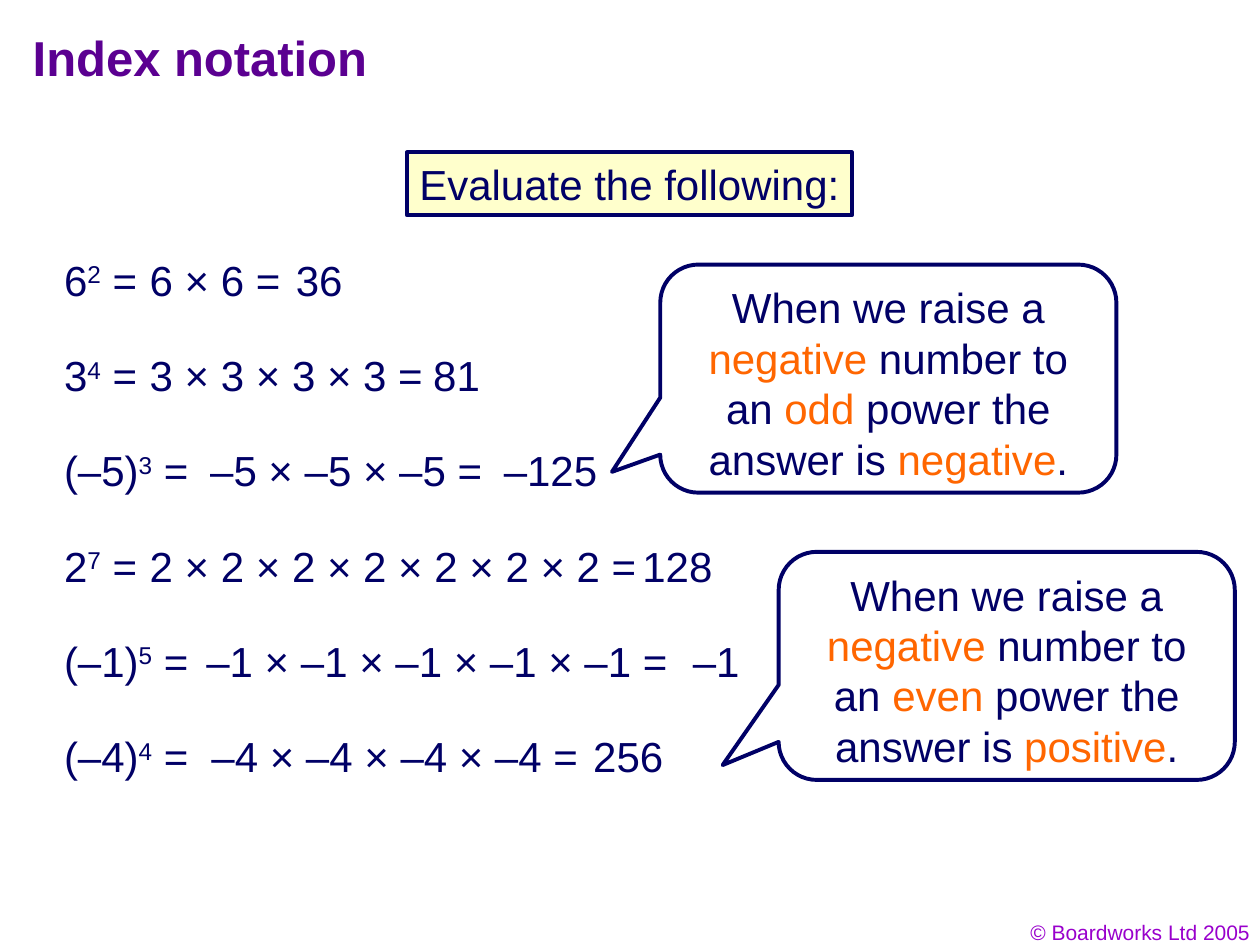
from pptx import Presentation
from pptx.dml.color import RGBColor
from pptx.enum.shapes import MSO_SHAPE
from pptx.enum.text import MSO_ANCHOR, MSO_AUTO_SIZE, PP_ALIGN
from pptx.util import Inches, Pt

RECTANGLE = MSO_SHAPE.RECTANGLE
CALLOUT = MSO_SHAPE.ROUNDED_RECTANGULAR_CALLOUT
TOP, MIDDLE = MSO_ANCHOR.TOP, MSO_ANCHOR.MIDDLE
LEFT, CENTER, RIGHT = PP_ALIGN.LEFT, PP_ALIGN.CENTER, PP_ALIGN.RIGHT
FIXED = MSO_AUTO_SIZE.NONE

COLORS = {
    "title": "5B0091",
    "text": "010066",
    "working": "000066",
    "outline": "000066",
    "accent": "FF6600",
    "prompt": "FFFFCC",
    "paper": "FFFFFF",
    "copyright": "9900CC",
}

FIRST_ROW, LAST_ROW, ROW_HEIGHT = 1.97, 5.75, 0.5
POWER_LEFT = 0.41

# Base, index, then (text, left, width) of the working and of the answer
EVALUATIONS = [
    ("6", "2", ("6 × 6 =", 1.09, 1.24), ("36", 2.25, 0.57)),
    ("3", "4", ("3 × 3 × 3 × 3 =", 1.09, 2.37), ("81", 3.34, 0.57)),
    ("(–5)", "3", ("–5 × –5 × –5 =", 1.57, 2.36), ("–125", 3.9, 0.94)),
    ("2", "7", ("2 × 2 × 2 × 2 × 2 × 2 × 2 =", 1.09, 4.06), ("128", 5, 0.75)),
    ("(–1)", "5", ("–1 × –1 × –1 × –1 × –1 =", 1.54, 3.86), ("–1", 5.4, 0.57)),
    ("(–4)", "4", ("–4 × –4 × –4 × –4 =", 1.58, 3.11), ("256", 4.61, 0.75)),
]
ROW_PITCH = (LAST_ROW - FIRST_ROW) / (len(EVALUATIONS) - 1)

# Left, top, pointer position, kind of power, sign of the answer
RULES = [
    (5.24, 2.1, (-0.606, 0.409), "odd", "negative"),
    (6.18, 4.38, (-0.623, 0.435), "even", "positive"),
]


def rgb(name):
    return RGBColor.from_string(COLORS[name])


def write(shape, text, color="text", size=24, bold=False, align=LEFT,
          anchor=TOP, right_inset=0.1):
    """Fill a shape with text: a string, or (text, color, superscript) spans."""
    frame = shape.text_frame
    frame.word_wrap, frame.auto_size = True, FIXED
    frame.vertical_anchor = anchor
    frame.margin_left, frame.margin_right = Inches(0.1), Inches(right_inset)
    frame.margin_top = frame.margin_bottom = Inches(0.05)
    para = frame.paragraphs[0]
    para.alignment = align
    spans = [(text, color, False)] if isinstance(text, str) else text
    for words, span_color, superscript in spans:
        span = para.add_run()
        span.text = words
        span.font.name, span.font.size, span.font.bold = "Arial", Pt(size), bold
        span.font.color.rgb = rgb(span_color)
        if superscript:
            span.font._element.set("baseline", "30000")


def add_label(page, left, top, width, height, text, **style):
    box = page.shapes.add_textbox(
        Inches(left), Inches(top), Inches(width), Inches(height))
    write(box, text, **style)


def add_panel(page, kind, left, top, width, height, fill, text, **style):
    panel = page.shapes.add_shape(
        kind, Inches(left), Inches(top), Inches(width), Inches(height))
    panel.shadow.inherit = False
    panel.fill.solid()
    panel.fill.fore_color.rgb = rgb(fill)
    panel.line.color.rgb = rgb("outline")
    panel.line.width = Pt(2.25)
    write(panel, text, **style)
    return panel


def add_evaluation(page, row, base, index, working, answer):
    top = FIRST_ROW + row * ROW_PITCH
    power = [(base, "text", False), (index, "text", True), (" =", "text", False)]
    power_width = 0.78 if len(base) == 1 else 1.19
    parts = [(power, POWER_LEFT, power_width, "text"),
             (*working, "working"), (*answer, "text")]
    for text, left, width, color in parts:
        add_label(page, left, top, width, ROW_HEIGHT, text, color=color,
                  right_inset=0)


def add_rule(page, left, top, pointer, parity, sign):
    pieces = ["When we raise a ", "negative", " number to an ", parity,
              " power the answer is ", sign, "."]
    spans = [(piece, "accent" if place % 2 else "text", False)
             for place, piece in enumerate(pieces)]
    callout = add_panel(page, CALLOUT, left, top, 3.62, 1.81, "paper", spans,
                        align=CENTER)
    for place, value in enumerate((*pointer, 0.167)):
        callout.adjustments[place] = value


def main():
    deck = Presentation()
    deck.slide_width, deck.slide_height = Inches(10), Inches(7.5)
    page = deck.slides.add_slide(deck.slide_layouts[5])

    # Title
    title = page.shapes.title
    title.left, title.top = Inches(0.16), Inches(0.12)
    title.width, title.height = Inches(8.5), Inches(0.67)
    write(title, "Index notation", color="title", size=28, bold=True,
          anchor=MIDDLE)

    # Copyright line and prompt
    add_label(page, 7.69, 7.25, 2.33, 0.3, "© Boardworks Ltd 2005",
              color="copyright", size=12, align=RIGHT)
    add_panel(page, RECTANGLE, 3.23, 1.21, 3.53, 0.5, "prompt",
              "Evaluate the following:", right_inset=0)

    # Powers with their working and answers
    for row, evaluation in enumerate(EVALUATIONS):
        add_evaluation(page, row, *evaluation)

    # Rules for negative numbers
    for rule in RULES:
        add_rule(page, *rule)

    deck.save("out.pptx")


if __name__ == "__main__":
    main()
